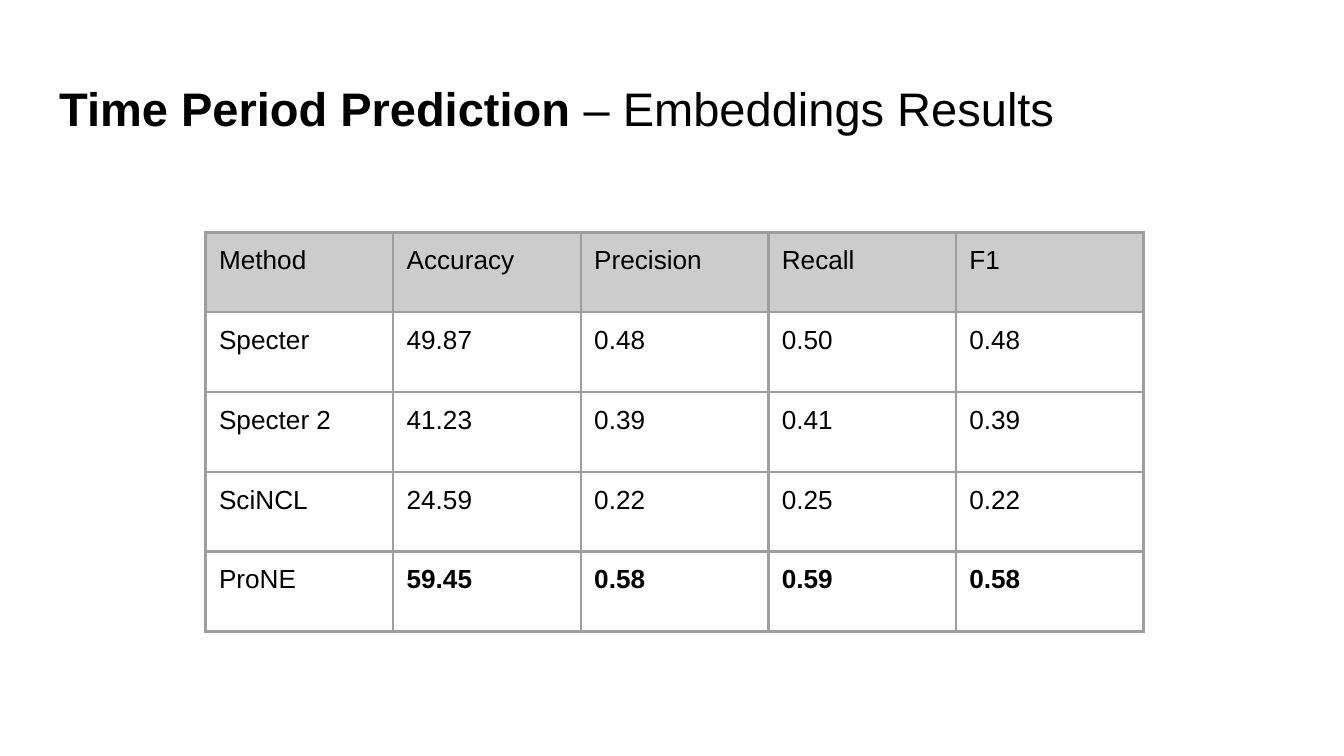
import dataclasses

import lxml.etree
import pptx
import pptx.dml.color
import pptx.enum.text
import pptx.oxml.ns
import pptx.util

# Widescreen page, 16 to 9
WIDTH = pptx.util.Inches(10)
HEIGHT = WIDTH * 9 // 16

# Style
FONT = "Arial"
INK, HEADER_FILL, PAPER, BORDER = "000000", "CCCCCC", "FFFFFF", "9E9E9E"
TITLE_SIZE, CELL_SIZE, BORDER_POINTS = 25.2, 14, 1.5
INSET = pptx.util.Inches(0.1)


@dataclasses.dataclass(frozen=True)
class Area:
    left: float
    top: float
    width: float
    height: float


@dataclasses.dataclass(frozen=True)
class Result:
    method: str
    scores: tuple[str, ...]
    best: bool = False


# Places in inches; the table is split into equal columns and rows
TITLE_AREA = Area(left=0.34, top=0.49, width=9.32, height=0.63)
RESULTS_AREA = Area(left=1.53, top=1.73, width=6.98, height=2.97)

# Content
HEADINGS = ("Method", "Accuracy", "Precision", "Recall", "F1")
RESULTS = (
    Result("Specter", ("49.87", "0.48", "0.50", "0.48")),
    Result("Specter 2", ("41.23", "0.39", "0.41", "0.39")),
    Result("SciNCL", ("24.59", "0.22", "0.25", "0.22")),
    Result("ProNE", ("59.45", "0.58", "0.59", "0.58"), best=True),
)


def color(value: str) -> pptx.dml.color.RGBColor:
    return pptx.dml.color.RGBColor.from_string(value)


def lengths(area: Area) -> list[pptx.util.Length]:
    return [pptx.util.Inches(value) for value in dataclasses.astuple(area)]


def add_span(para, text: str, size: float, bold: bool = False) -> None:
    span = para.add_run()
    span.text = text
    span.font.name = FONT
    span.font.size = pptx.util.Pt(size)
    span.font.bold = bold
    span.font.color.rgb = color(INK)


def set_insets(target) -> None:
    target.margin_left = target.margin_right = INSET
    target.margin_top = target.margin_bottom = INSET


def add_borders(cell) -> None:
    properties = cell._tc.get_or_add_tcPr()
    name = pptx.oxml.ns.qn
    # Border lines come before the fill in the cell properties
    for position, side in enumerate(("a:lnL", "a:lnR", "a:lnT", "a:lnB")):
        line = lxml.etree.Element(name(side), w=str(pptx.util.Pt(BORDER_POINTS)))
        fill = lxml.etree.SubElement(line, name("a:solidFill"))
        lxml.etree.SubElement(fill, name("a:srgbClr"), val=BORDER)
        properties.insert(position, line)


def fill_cell(cell, text: str, background: str, bold: bool = False) -> None:
    set_insets(cell)
    cell.fill.solid()
    cell.fill.fore_color.rgb = color(background)
    add_borders(cell)
    add_span(cell.text_frame.paragraphs[0], text, CELL_SIZE, bold)


def add_title(page) -> None:
    box = page.shapes.title
    box.left, box.top, box.width, box.height = lengths(TITLE_AREA)
    frame = box.text_frame
    set_insets(frame)
    frame.word_wrap = True
    frame.vertical_anchor = pptx.enum.text.MSO_ANCHOR.MIDDLE
    para = frame.paragraphs[0]
    para.alignment = pptx.enum.text.PP_ALIGN.LEFT
    add_span(para, "Time Period Prediction", TITLE_SIZE, bold=True)
    add_span(para, " – Embeddings Results", TITLE_SIZE)


def add_results(page) -> None:
    table = page.shapes.add_table(
        len(RESULTS) + 1, len(HEADINGS), *lengths(RESULTS_AREA)
    ).table
    table.horz_banding = False
    table.first_row = False
    # Header row
    for column, heading in enumerate(HEADINGS):
        fill_cell(table.cell(0, column), heading, HEADER_FILL)
    # One row for each method, the best scores in bold
    for row, result in enumerate(RESULTS, start=1):
        fill_cell(table.cell(row, 0), result.method, PAPER)
        for column, score in enumerate(result.scores, start=1):
            fill_cell(table.cell(row, column), score, PAPER, result.best)


def main() -> None:
    deck = pptx.Presentation()
    deck.slide_width, deck.slide_height = WIDTH, HEIGHT
    page = deck.slides.add_slide(deck.slide_layouts[5])
    page.background.fill.solid()
    page.background.fill.fore_color.rgb = color(PAPER)
    add_title(page)
    add_results(page)
    deck.save("out.pptx")


if __name__ == "__main__":
    main()
